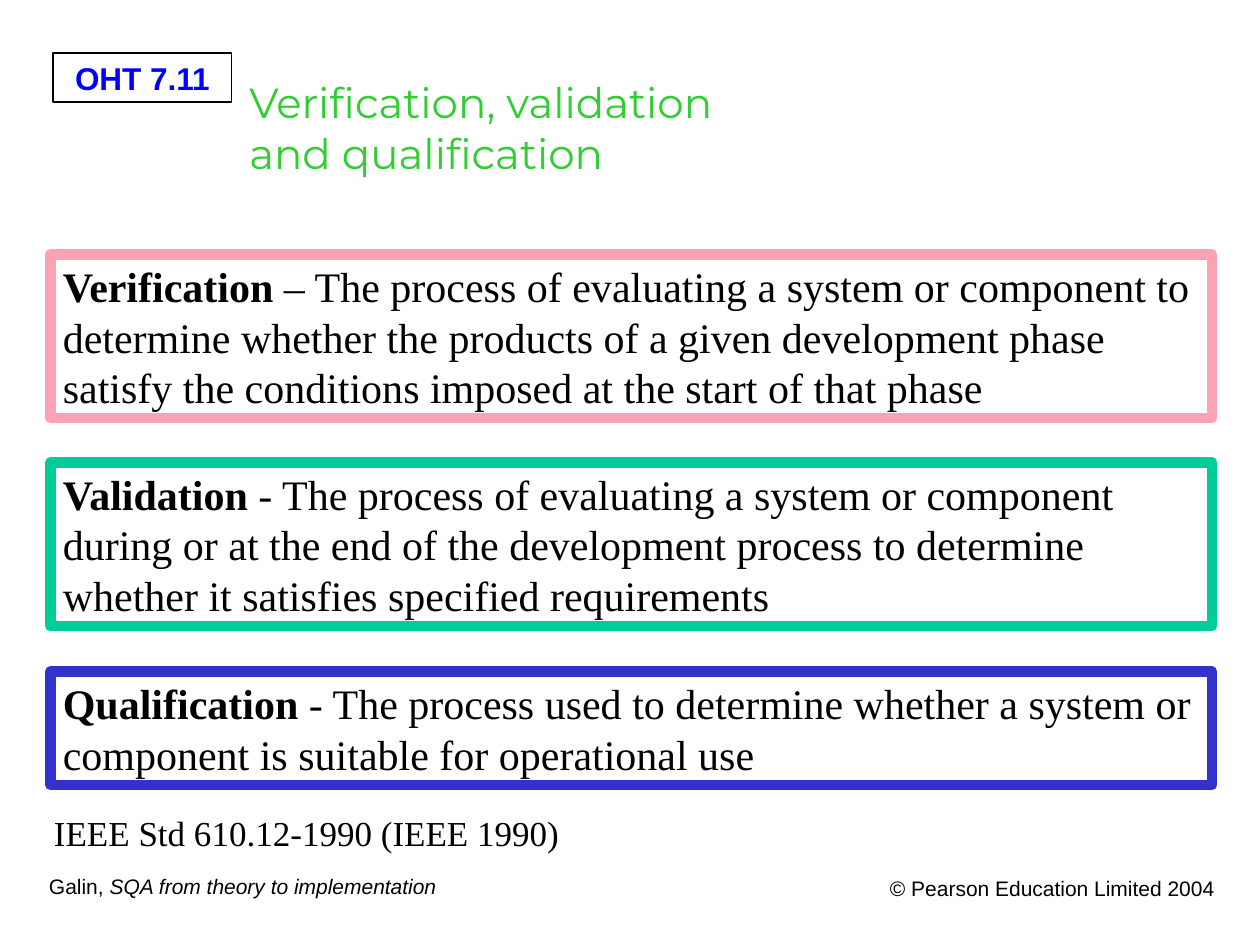
from dataclasses import dataclass
from typing import Optional

from pptx import Presentation
from pptx.dml.color import RGBColor
from pptx.enum.shapes import MSO_SHAPE
from pptx.enum.text import MSO_ANCHOR, MSO_AUTO_SIZE, PP_ALIGN
from pptx.util import Inches, Pt

BLACK = RGBColor(0x00, 0x00, 0x00)
BLUE = RGBColor(0x00, 0x00, 0xFF)
GREEN = RGBColor(0x33, 0xCC, 0x33)
PINK = RGBColor(0xFB, 0xA3, 0xB4)
TEAL = RGBColor(0x00, 0xCC, 0x99)
NAVY = RGBColor(0x33, 0x33, 0xCC)


@dataclass(frozen=True)
class Run:
    text: str
    bold: bool = False
    slant: bool = False


@dataclass(frozen=True)
class Style:
    font: str
    size: int
    color: RGBColor = BLACK
    align: PP_ALIGN = PP_ALIGN.LEFT


@dataclass(frozen=True)
class Border:
    color: RGBColor
    width: float


@dataclass(frozen=True)
class Box:
    left: float
    top: float
    width: float
    height: float
    style: Style
    lines: list[list[Run]]
    wrap: bool = True
    grow: bool = False
    border: Optional[Border] = None


@dataclass(frozen=True)
class Term:
    name: str
    text: str
    top: float
    height: float
    color: RGBColor


BODY = Style("Times New Roman", 24)
NOTE = Style("Times New Roman", 20)
LABEL = Style("Arial", 18, BLUE, PP_ALIGN.CENTER)
FOOT = Style("Arial", 12)
RIGHTS = Style("Arial", 12, BLACK, PP_ALIGN.RIGHT)
TITLE = Style("Montserrat", 24, GREEN)

TERMS = [
    Term("Verification", " – The process of evaluating a system or component to "
         "determine whether the products of a given development phase satisfy "
         "the conditions imposed at the start of that phase", 2.02, 1.3, PINK),
    Term("Validation", " - The process of evaluating a system or component during "
         "or at the end of the development process to determine whether it "
         "satisfies specified requirements", 3.67, 1.3, TEAL),
    Term("Qualification", " - The process used to determine whether a system or "
         "component is suitable for operational use", 5.33, 0.9, NAVY),
]

BOXES = [
    Box(0.42, 0.42, 1.42, 0.39, LABEL, [[Run("OHT 7.11", bold=True)]],
        wrap=False, border=Border(BLACK, 0.75)),
    Box(0.29, 6.88, 3.28, 0.3, FOOT,
        [[Run("Galin, "), Run("SQA from theory to implementation", slant=True)]],
        wrap=False, grow=True),
    Box(6.64, 6.9, 3.1, 0.39, RIGHTS, [[Run("© Pearson Education Limited 2004")]]),
    *[Box(0.4, term.top, 9.22, term.height, BODY,
          [[Run(term.name, bold=True), Run(term.text)]],
          grow=True, border=Border(term.color, 6)) for term in TERMS],
    Box(0.33, 6.39, 10, 0.44, NOTE,
        [[Run("IEEE Std 610.12-1990 (IEEE 1990)")]], grow=True),
    Box(1.88, 0.56, 6.21, 1.23, TITLE,
        [[Run("Verification, validation")], [Run("and qualification")]], wrap=False),
]


def write(frame, box: Box) -> None:
    frame.word_wrap = box.wrap
    frame.auto_size = MSO_AUTO_SIZE.SHAPE_TO_FIT_TEXT if box.grow else MSO_AUTO_SIZE.NONE
    frame.vertical_anchor = MSO_ANCHOR.TOP
    for i, line in enumerate(box.lines):
        para = frame.add_paragraph() if i else frame.paragraphs[0]
        para.alignment = box.style.align
        for part in line:
            run = para.add_run()
            run.text = part.text
            font = run.font
            font.name = box.style.font
            font.size = Pt(box.style.size)
            font.color.rgb = box.style.color
            font.bold = part.bold
            font.italic = part.slant


def draw(slide, box: Box) -> None:
    place = [Inches(n) for n in (box.left, box.top, box.width, box.height)]
    if box.border:
        shape = slide.shapes.add_shape(MSO_SHAPE.RECTANGLE, *place)
        shape.shadow.inherit = False
        shape.fill.background()
        shape.line.color.rgb = box.border.color
        shape.line.width = Pt(box.border.width)
    else:
        shape = slide.shapes.add_textbox(*place)
    write(shape.text_frame, box)


def main() -> None:
    deck = Presentation()
    deck.slide_width = Inches(10)
    deck.slide_height = Inches(7.5)
    slide = deck.slides.add_slide(deck.slide_layouts[6])
    for box in BOXES:
        draw(slide, box)
    deck.save("out.pptx")


if __name__ == "__main__":
    main()
